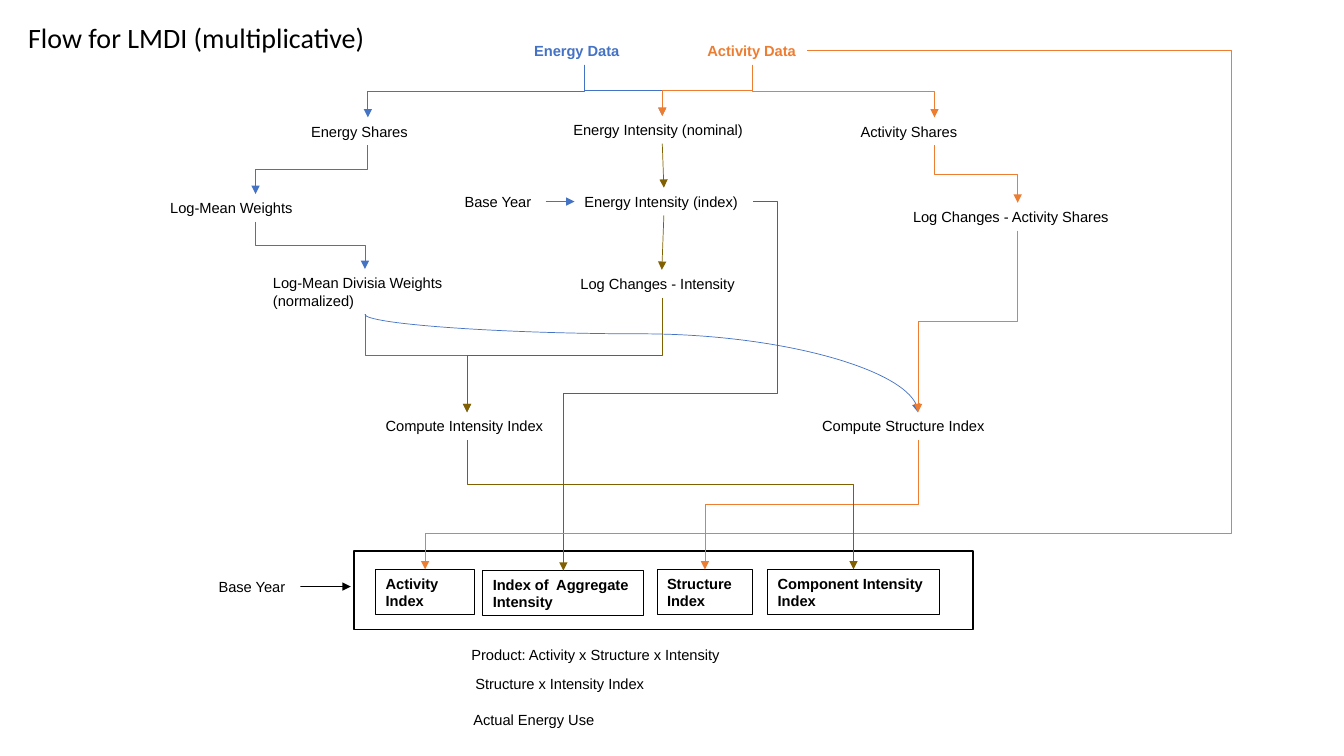
from lxml import etree
from pptx import Presentation
from pptx.dml.color import RGBColor
from pptx.enum.shapes import MSO_CONNECTOR, MSO_SHAPE
from pptx.enum.text import MSO_ANCHOR, MSO_AUTO_SIZE, PP_ALIGN
from pptx.oxml.ns import qn
from pptx.util import Cm, Pt

STRAIGHT, ELBOW, CURVE = MSO_CONNECTOR.STRAIGHT, MSO_CONNECTOR.ELBOW, MSO_CONNECTOR.CURVE
RECTANGLE = MSO_SHAPE.RECTANGLE
FIT_SHAPE = MSO_AUTO_SIZE.SHAPE_TO_FIT_TEXT
ANCHOR_TOP, ALIGN_LEFT = MSO_ANCHOR.TOP, PP_ALIGN.LEFT
TOP, LEFT, BOTTOM, RIGHT = range(4)
BLACK, BLUE, ORANGE, OLIVE = "000000", "4472C4", "ED7D31", "806000"
ONE_LINE, TWO_LINES = 0.7, 1.14
INDEX_TOP = 14.35


def color(value):
    return RGBColor.from_string(value)


def side_middle(box, side):
    if side in (TOP, BOTTOM):
        return box.left + box.width // 2, box.top + (box.height if side == BOTTOM else 0)
    return box.left + (box.width if side == RIGHT else 0), box.top + box.height // 2


class FlowSlide:
    frame_format = {"word_wrap": True, "auto_size": FIT_SHAPE,
                    "vertical_anchor": ANCHOR_TOP}
    font_format = {"name": "Arial", "size": Pt(10.5), "bold": False}

    def __init__(self, page):
        self.shapes = page.shapes

    def set_text(self, box, text, ink=BLACK, **changes):
        for name, value in self.frame_format.items():
            setattr(box.text_frame, name, value)
        para = box.text_frame.paragraphs[0]
        para.alignment = ALIGN_LEFT
        span = para.add_run()
        span.text = text
        for name, value in {**self.font_format, **changes}.items():
            setattr(span.font, name, value)
        span.font.color.rgb = color(ink)

    def label(self, text, left, top, width, height=ONE_LINE, **style):
        box = self.shapes.add_textbox(Cm(left), Cm(top), Cm(width), Cm(height))
        self.set_text(box, text, **style)
        return box

    def outline(self, left, top, width, height, weight):
        box = self.shapes.add_shape(RECTANGLE, Cm(left), Cm(top), Cm(width), Cm(height))
        box.shadow.inherit = False
        box.fill.background()
        box.line.color.rgb = color(BLACK)
        box.line.width = Pt(weight)
        return box

    def index_box(self, text, left, width, top=INDEX_TOP):
        box = self.outline(left, top, width, TWO_LINES, 0.75)
        self.set_text(box, text, bold=True)
        return box

    def arrow(self, kind, begin, end, ink):
        line = self.shapes.add_connector(kind, *begin, *end)
        line.line.color.rgb = color(ink)
        line.line.width = Pt(0.5)
        properties = line._element.spPr
        etree.SubElement(properties.find(qn("a:ln")), qn("a:tailEnd"), type="triangle")
        etree.SubElement(properties, qn("a:effectLst"))
        return line

    def link(self, source, target, ink, kind=STRAIGHT, sides=(BOTTOM, TOP)):
        begin, end = side_middle(source, sides[0]), side_middle(target, sides[1])
        line = self.arrow(kind, begin, end, ink)
        line.begin_connect(source, sides[0])
        line.end_connect(target, sides[1])
        return line

    def bend(self, line, guides):
        """Set the turning points as fractions of the connector's extent."""
        geometry = line._element.spPr.find(qn("a:prstGeom"))
        values = geometry.find(qn("a:avLst"))
        if values is None:
            values = etree.SubElement(geometry, qn("a:avLst"))
        for name, fraction in guides.items():
            etree.SubElement(values, qn("a:gd"), name=name,
                             fmla=f"val {round(fraction * 100000)}")
        return geometry

    def drop(self, source, target, ink, turn=0.5, kind=ELBOW):
        """Link a bottom side to a top side: down, across at turn, down."""
        line = self.link(source, target, ink, kind)
        (x1, y1), (x2, y2) = side_middle(source, BOTTOM), side_middle(target, TOP)
        across, down = abs(x2 - x1), y2 - y1
        line.left, line.top = (x1 + x2 - down) // 2, (y1 + y2 - across) // 2
        line.width, line.height = down, across
        transform = line._element.spPr.find(qn("a:xfrm"))
        rightward = x2 > x1
        transform.set("rot", str((270 if rightward else 90) * 60000))
        transform.set("flipH", "1" if rightward else "0")
        self.bend(line, {"adj1": turn})

    def detour(self, source, target, ink, out, turn):
        """Link a right side to a top side, passing round on the right."""
        line = self.link(source, target, ink, ELBOW, (RIGHT, TOP))
        geometry = self.bend(line, {"adj1": out, "adj2": turn})
        geometry.set("prst", "bentConnector4")


def main():
    deck = Presentation()
    deck.slide_width, deck.slide_height = Cm(33.87), Cm(19.05)
    flow = FlowSlide(deck.slides.add_slide(deck.slide_layouts[6]))

    flow.label("Flow for LMDI (multiplicative)", 0.46, 0.38, 12.42, 1.12,
               name="Calibri", size=Pt(20))
    energy = flow.label(" Energy Data", 13.11, 0.93, 3.25, ink=BLUE, bold=True)
    activity = flow.label("Activity Data", 17.58, 0.93, 2.77, ink=ORANGE, bold=True)
    energy_shares = flow.label(" Energy Shares", 7.49, 2.96, 3.56)
    nominal = flow.label("Energy Intensity (nominal)", 14.2, 2.92, 4.98)
    activity_shares = flow.label("Activity Shares", 21.44, 2.96, 4.22)
    weights = flow.label("Log-Mean Weights", 4.04, 4.89, 4.8)
    base_year = flow.label("Base Year", 11.46, 4.73, 2.29)
    intensity = flow.label("Energy Intensity (index)", 14.48, 4.73, 4.5)
    share_changes = flow.label("Log Changes - Activity Shares", 22.76, 5.11, 5.77)
    divisia = flow.label("Log-Mean Divisia Weights (normalized)",
                         6.63, 6.78, 5.13, TWO_LINES)
    intensity_changes = flow.label("Log Changes - Intensity", 14.38, 6.8, 4.6)
    compute_intensity = flow.label("Compute Intensity Index", 9.47, 10.39, 4.6)
    compute_structure = flow.label("Compute Structure Index", 20.47, 10.39, 5.33)
    result_base_year = flow.label("Base Year", 5.26, 14.43, 2.31)
    flow.label("Product: Activity x Structure x Intensity", 11.63, 16.15, 7.21)
    flow.label("Structure x Intensity Index", 11.73, 16.89, 5.05)
    flow.label("Actual Energy Use", 11.68, 17.78, 4.09)

    flow.outline(8.92, 13.89, 15.6, 1.98, 1)
    activity_index = flow.index_box("Activity Index", 9.47, 2.49)
    aggregate_index = flow.index_box("Index of  Aggregate Intensity", 12.17, 4.06, 14.38)
    structure_index = flow.index_box("Structure Index", 16.56, 2.41)
    component_index = flow.index_box("Component Intensity Index", 19.35, 4.32)

    flow.drop(energy_shares, weights, BLUE)
    flow.drop(weights, divisia, BLUE)
    flow.drop(activity_shares, share_changes, ORANGE)
    flow.drop(divisia, compute_intensity, BLUE, 0.42)
    flow.drop(intensity_changes, compute_intensity, OLIVE)
    flow.drop(energy, energy_shares, BLUE)
    flow.drop(activity, activity_shares, ORANGE)
    flow.drop(energy, nominal, BLUE)
    flow.drop(activity, nominal, ORANGE)
    flow.link(nominal, intensity, OLIVE)
    flow.link(base_year, intensity, BLUE, sides=(RIGHT, LEFT))
    flow.link(intensity, intensity_changes, OLIVE)
    flow.drop(divisia, compute_structure, BLUE, 0.2, CURVE)
    flow.drop(share_changes, compute_structure, ORANGE)
    flow.detour(intensity, aggregate_index, OLIVE, -0.13, 0.52)
    flow.detour(activity, activity_index, ORANGE, -1.11, 0.93)
    flow.drop(compute_structure, structure_index, ORANGE)
    flow.drop(compute_intensity, component_index, OLIVE, 0.34)

    base_line = flow.arrow(STRAIGHT, side_middle(result_base_year, RIGHT),
                           (Cm(8.84), Cm(14.78)), BLACK)
    base_line.begin_connect(result_base_year, RIGHT)

    deck.save("out.pptx")


if __name__ == "__main__":
    main()
